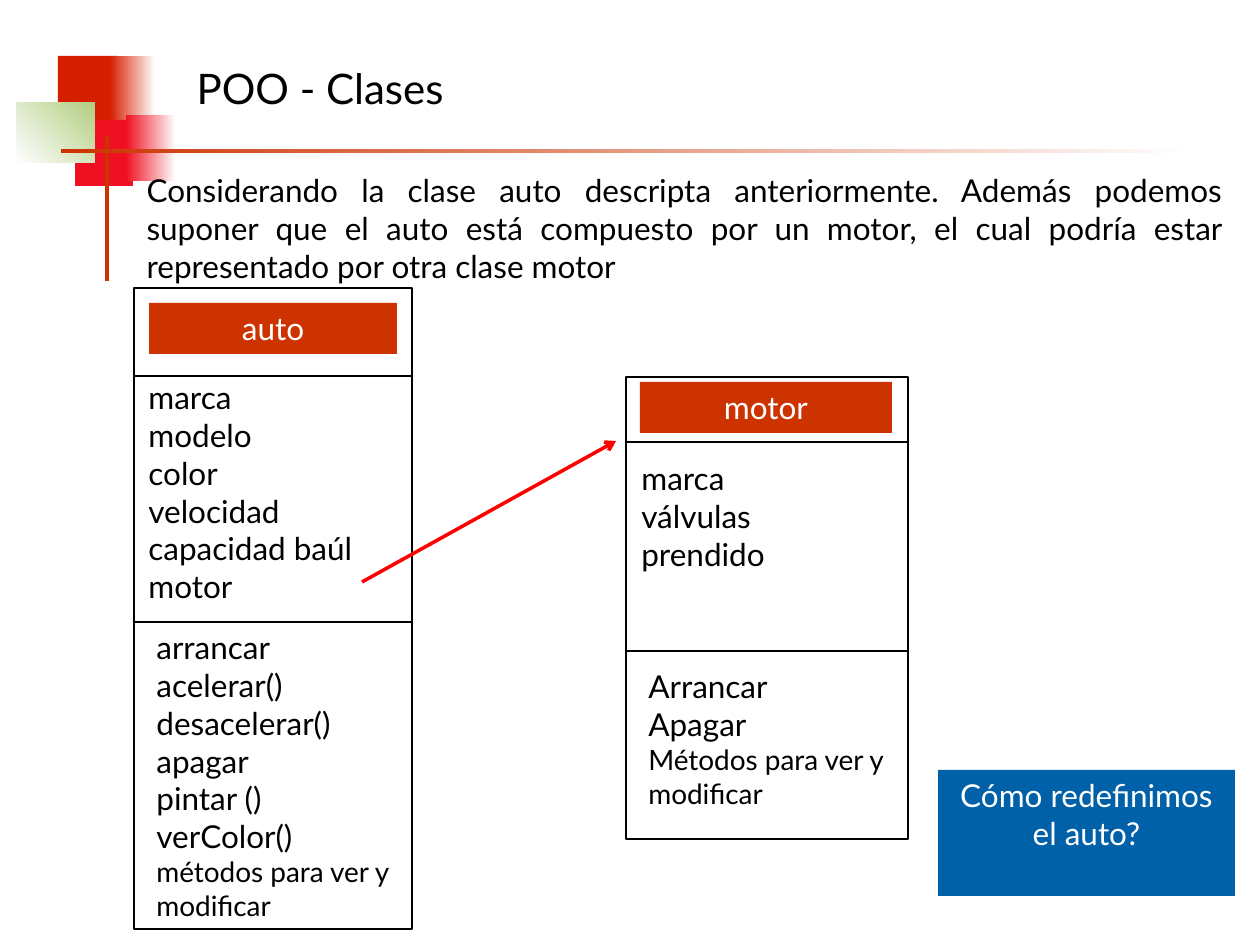
"""Build a slide that relates the classes auto and motor."""
import pptx
import pptx.dml.color
import pptx.enum.shapes
import pptx.enum.text
import pptx.oxml.ns
import pptx.util
from lxml import etree

SCALE = 914400 / 126
FONT = "Lato"
RED = "CC3300"
BLACK = "000000"
WHITE = "FFFFFF"
ALIGN = pptx.enum.text.PP_ALIGN


def px(n):
    return round(n * SCALE)


def hue(code):
    return pptx.dml.color.RGBColor.from_string(code)


def node(parent, tag, **attrs):
    return etree.SubElement(parent, pptx.oxml.ns.qn(tag), **attrs)


def write(shape, text, size=18, color=BLACK, align=ALIGN.LEFT, note=None):
    """Fill a shape with lines of text, then an optional smaller note."""
    frame = shape.text_frame
    frame.word_wrap = True
    frame.auto_size = pptx.enum.text.MSO_AUTO_SIZE.NONE
    frame.vertical_anchor = pptx.enum.text.MSO_ANCHOR.TOP
    rows = [(line, size) for line in text.split("\n")]
    if note:
        rows.append((note, size - 2))
    for i, (line, points) in enumerate(rows):
        para = frame.paragraphs[0] if i == 0 else frame.add_paragraph()
        para.text = line
        para.alignment = align
        para.space_before = pptx.util.Pt(0)
        para.font.size = pptx.util.Pt(points)
        para.font.name = FONT
        para.font.color.rgb = hue(color)


def place(holder, box, text, **style):
    """Move a placeholder to the front and write plain text in it."""
    holder.left, holder.top, holder.width, holder.height = map(px, box)
    holder.element.getparent().append(holder.element)
    write(holder, text, **style)
    props = holder.text_frame.paragraphs[0]._p.get_or_add_pPr()
    props.set("marL", "0")
    props.set("indent", "0")
    if props.find(pptx.oxml.ns.qn("a:buNone")) is None:
        bullet = node(props, "a:buNone")
        after = props.find(pptx.oxml.ns.qn("a:defRPr"))
        if after is not None:
            after.addprevious(bullet)


def label(slide, box, text, **style):
    write(slide.shapes.add_textbox(*map(px, box)), text, **style)


def block(slide, box, fill=None, fade=None, angle=0, edge=None):
    """Add a rectangle with a solid, fading or empty fill."""
    kind = pptx.enum.shapes.MSO_SHAPE.RECTANGLE
    shape = slide.shapes.add_shape(kind, *map(px, box))
    shape.shadow.inherit = False
    if fade:
        shape.fill.gradient()
        shape.fill.gradient_angle = angle
        for stop, code in zip(shape.fill.gradient_stops, (fill, fade)):
            stop.color.rgb = hue(code)
    elif fill:
        shape.fill.solid()
        shape.fill.fore_color.rgb = hue(fill)
    else:
        shape.fill.background()
    if edge:
        shape.line.color.rgb = hue(edge)
        shape.line.width = pptx.util.Pt(1)
    else:
        shape.line.fill.background()
    return shape


def rule(slide, start, end, color=BLACK, width=1, arrow=False):
    """Add a straight line, with an arrowhead at its end if asked."""
    kind = pptx.enum.shapes.MSO_CONNECTOR.STRAIGHT
    line = slide.shapes.add_connector(kind, *map(px, (*start, *end)))
    line.line.color.rgb = hue(color)
    line.line.width = pptx.util.Pt(width)
    if arrow:
        node(line.line._get_or_add_ln(), "a:tailEnd", type="arrow")
    node(line._element.spPr, "a:effectLst")


def banner(slide, box, text, fill=RED):
    write(block(slide, box, fill), text, color=WHITE, align=ALIGN.CENTER)


def model(slide, frame, head, name, cuts, fields, facts, acts, deeds, note):
    """Draw a class: framed name, fields and methods."""
    left, _, width, _ = frame
    block(slide, frame, edge=BLACK)
    banner(slide, head, name)
    for y in cuts:
        rule(slide, (left, y), (left + width, y))
    label(slide, fields, facts)
    label(slide, acts, deeds, note=note)


def decor(slide):
    """Draw the coloured squares and the two bars."""
    block(slide, (58, 56, 60, 65), "D61F00")
    block(slide, (110, 56, 45, 65), "D61F00", WHITE)
    block(slide, (75, 120, 58, 66), "EF1121")
    block(slide, (126, 115, 50, 66), "EF1121", WHITE)
    block(slide, (17, 103, 78, 60), WHITE, "B3CE82", 45)
    block(slide, (105, 136, 4, 145), RED)
    block(slide, (61, 149, 1134, 4), RED, WHITE)


def main():
    deck = pptx.Presentation()
    deck.slide_width, deck.slide_height = px(1260), px(945)
    slide = deck.slides.add_slide(deck.slide_layouts[1])
    title, body = slide.placeholders
    decor(slide)
    place(title, (184, 56, 922, 63), "POO - Clases", size=24)
    place(body, (134, 165, 1101, 139),
          "Considerando la clase auto descripta anteriormente. Además "
          "podemos suponer que el auto está compuesto por un motor, el cual "
          "podría estar representado por otra clase motor",
          align=ALIGN.JUSTIFY)
    model(slide, (626, 377, 282, 462), (640, 382, 252, 51), "motor",
          (442, 651), (629, 453, 290, 126), "marca\nválvulas\nprendido",
          (636, 661, 262, 156), "Arrancar\nApagar",
          "Métodos para ver y modificar")
    model(slide, (134, 288, 278, 641), (149, 303, 248, 51), "auto",
          (376, 622), (136, 372, 247, 240),
          "marca\nmodelo\ncolor\nvelocidad\ncapacidad baúl\nmotor",
          (144, 622, 268, 307),
          "arrancar\nacelerar()\ndesacelerar()\napagar\npintar ()\nverColor()",
          "métodos para ver y modificar")
    rule(slide, (362, 582), (616, 441), "FF0000", 2, arrow=True)
    banner(slide, (938, 770, 297, 126), "Cómo redefinimos el auto?", "0060A8")
    deck.save("out.pptx")


if __name__ == "__main__":
    main()
